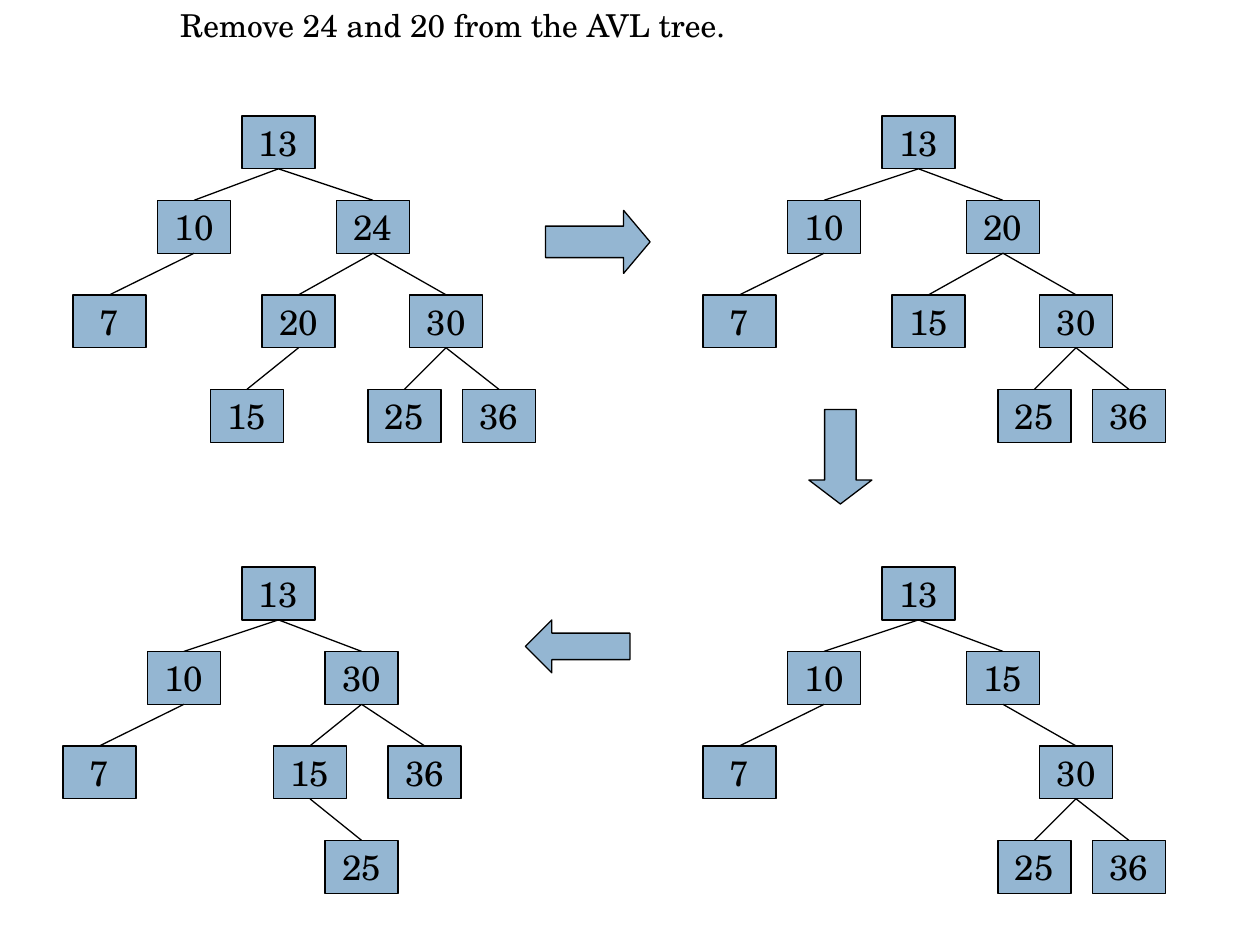
import pptx
import pptx.util
import pptx.dml.color
import pptx.enum.shapes
import pptx.enum.text
import lxml.etree

Inches, Pt = pptx.util.Inches, pptx.util.Pt
Color = pptx.dml.color.RGBColor.from_string
Shape = pptx.enum.shapes.MSO_SHAPE
Align = pptx.enum.text.PP_ALIGN
Anchor = pptx.enum.text.MSO_ANCHOR

# Content
TITLE = "Remove 24 and 20 from the AVL tree."

# Each tree: top, then nodes as (key, left, level, parent key)
TREES = [
    (0.92, [("13", 1.92, 0, None), ("10", 1.25, 1, "13"), ("24", 2.67, 1, "13"),
            ("7", 0.58, 2, "10"), ("20", 2.08, 2, "24"), ("30", 3.25, 2, "24"),
            ("15", 1.67, 3, "20"), ("25", 2.92, 3, "30"), ("36", 3.67, 3, "30")]),
    (0.92, [("13", 7, 0, None), ("10", 6.25, 1, "13"), ("20", 7.67, 1, "13"),
            ("7", 5.58, 2, "10"), ("15", 7.08, 2, "20"), ("30", 8.25, 2, "20"),
            ("25", 7.92, 3, "30"), ("36", 8.67, 3, "30")]),
    (4.5, [("13", 7, 0, None), ("10", 6.25, 1, "13"), ("15", 7.67, 1, "13"),
           ("7", 5.58, 2, "10"), ("30", 8.25, 2, "15"),
           ("25", 7.92, 3, "30"), ("36", 8.67, 3, "30")]),
    (4.5, [("13", 1.92, 0, None), ("10", 1.17, 1, "13"), ("30", 2.58, 1, "13"),
           ("7", 0.5, 2, "10"), ("15", 2.17, 2, "30"), ("36", 3.08, 2, "30"),
           ("25", 2.58, 3, "15")]),
]

# Step arrows: preset, left, top, width, height, head length ratio
ARROWS = [
    (Shape.RIGHT_ARROW, 4.33, 1.67, 0.83, 0.5, 0.42),
    (Shape.DOWN_ARROW, 6.42, 3.25, 0.5, 0.75, 0.38),
    (Shape.LEFT_ARROW, 4.17, 4.92, 0.83, 0.42, 0.5),
]

LEVEL_OFFSETS = (0, 0.67, 1.42, 2.17)
NODE_SIZE = (0.58, 0.42)
THEME = {"font": "TeX Gyre Schola", "ink": Color("000000"), "fill": Color("94B6D2"),
         "title": Pt(18), "node": Pt(20), "line": Pt(0.75)}


def apply_format(target, **values):
    for name, value in values.items():
        setattr(target, name, value)


def write_text(para, text, size, align):
    para.text = text
    para.alignment = align
    apply_format(para.font, name=THEME["font"], size=THEME[size], bold=False)
    para.font.color.rgb = THEME["ink"]


def style_line(line):
    line.color.rgb = THEME["ink"]
    line.width = THEME["line"]


def add_block(page, preset, *bounds):
    block = page.shapes.add_shape(preset, *map(Inches, bounds))
    block.shadow.inherit = False
    block.fill.solid()
    block.fill.fore_color.rgb = THEME["fill"]
    style_line(block.line)
    return block


def add_edge(page, parent, child):
    edge = page.shapes.add_connector(pptx.enum.shapes.MSO_CONNECTOR.STRAIGHT, 0, 0, 0, 0)
    edge.begin_connect(parent, 2)
    edge.end_connect(child, 0)
    style_line(edge.line)
    lxml.etree.SubElement(edge._element.spPr, pptx.oxml.ns.qn("a:effectLst"))


def add_tree(page, top, nodes):
    boxes = {}
    for key, left, level, parent in nodes:
        box = add_block(page, Shape.RECTANGLE, left, top + LEVEL_OFFSETS[level], *NODE_SIZE)
        box.text_frame.vertical_anchor = Anchor.MIDDLE
        write_text(box.text_frame.paragraphs[0], key, "node", Align.CENTER)
        boxes[key] = box
        if parent:
            add_edge(page, boxes[parent], box)


def add_title(page):
    title = page.shapes.title
    apply_format(title, left=Inches(0.83), top=Inches(0), width=Inches(8.17), height=Inches(0.4))
    apply_format(title.text_frame, word_wrap=True, vertical_anchor=Anchor.TOP,
                 auto_size=pptx.enum.text.MSO_AUTO_SIZE.NONE,
                 margin_left=Inches(0.1), margin_right=Inches(0.1),
                 margin_top=Inches(0.05), margin_bottom=Inches(0.05))
    para = title.text_frame.paragraphs[0]
    write_text(para, TITLE, "title", Align.LEFT)
    para._p.get_or_add_pPr().set("marL", str(Inches(0.5)))


def main():
    deck = pptx.Presentation()
    apply_format(deck, slide_width=Inches(10), slide_height=Inches(7.5))
    page = deck.slides.add_slide(deck.slide_layouts[5])

    # Heading
    add_title(page)

    # Tree after each step
    for top, nodes in TREES:
        add_tree(page, top, nodes)

    # Arrows between the steps
    for preset, left, top, width, height, head in ARROWS:
        arrow = add_block(page, preset, left, top, width, height)
        arrow.adjustments[0] = 0.5
        arrow.adjustments[1] = head

    deck.save("out.pptx")


if __name__ == "__main__":
    main()
